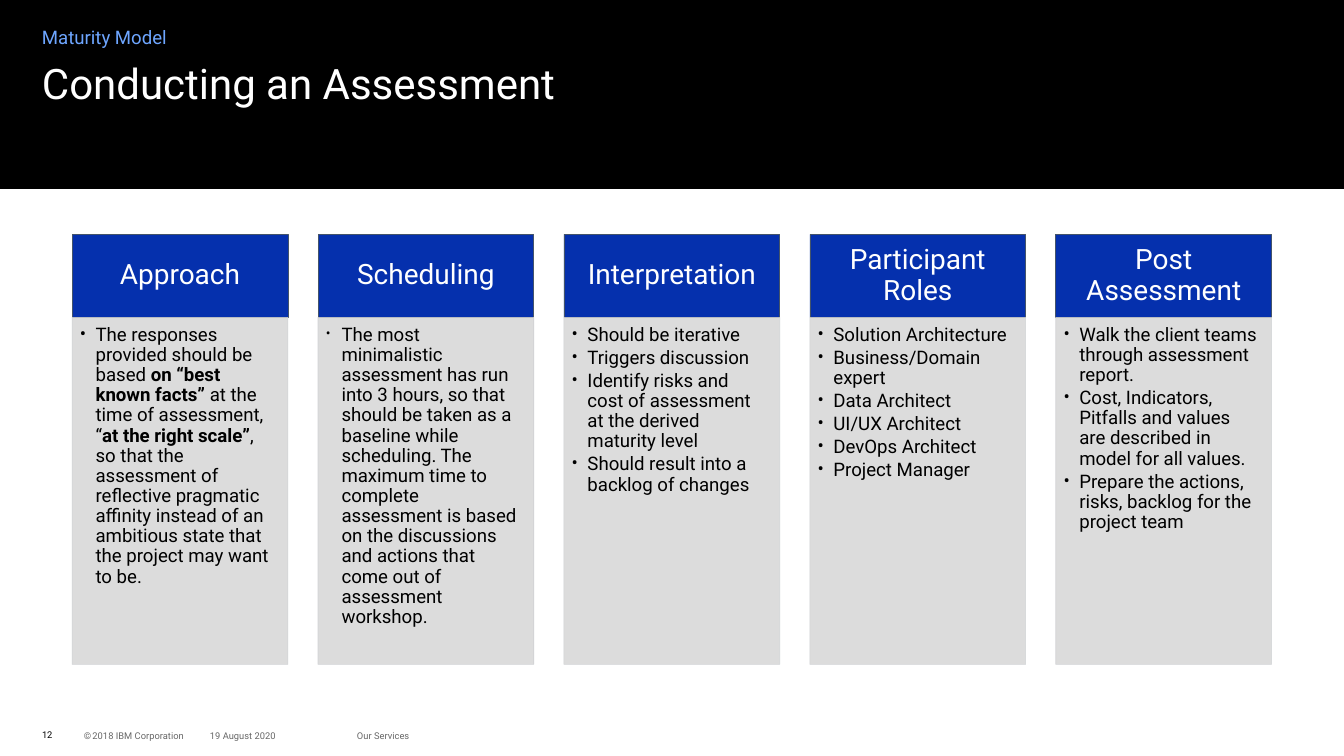
from dataclasses import dataclass
from typing import NamedTuple

from lxml.etree import SubElement
from pptx import Presentation
from pptx.dml.color import RGBColor
from pptx.enum.shapes import MSO_SHAPE
from pptx.enum.text import MSO_ANCHOR, PP_ALIGN
from pptx.oxml.ns import qn
from pptx.util import Pt

BLACK = RGBColor(0x00, 0x00, 0x00)
WHITE = RGBColor(0xFF, 0xFF, 0xFF)
SKY = RGBColor(0x6E, 0xA6, 0xFF)
BLUE = RGBColor(0x05, 0x30, 0xAD)
SLATE = RGBColor(0x44, 0x54, 0x6A)
GREY = RGBColor(0xD9, 0xD9, 0xD9)
SILVER = RGBColor(0xCF, 0xD1, 0xD4)
FONT = "Roboto"

COLUMN_LEFT, COLUMN_PITCH, COLUMN_WIDTH = 61.8, 210.8, 185
HEADER_TOP, HEADER_HEIGHT, BODY_HEIGHT = 200.9, 71.2, 297.4
BULLET_INDENT = 13.5


class Area(NamedTuple):
    left: float
    top: float
    width: float
    height: float


class Span(NamedTuple):
    text: str
    size: float = 16
    bold: bool = False


@dataclass
class Label:
    area: Area
    spans: list[Span]
    colour: RGBColor = BLACK
    opacity: int = 100
    anchor: MSO_ANCHOR = MSO_ANCHOR.MIDDLE
    spacing: float = 1.0


@dataclass
class Column:
    heading: str
    points: list[list[Span]]
    bullet_size: int = 100


LABELS = [
    Label(Area(72, 622, 180, 17),
          [Span("©", 8), Span(" ", 4), Span("2018 IBM Corporation", 8)], opacity=60),
    Label(Area(178, 622, 108, 17), [Span(" 19 August 2020", 8)], opacity=60),
    Label(Area(306, 622, 180, 17), [Span("Our Services", 8)], opacity=60),
    Label(Area(36, 621.4, 26, 17), [Span("12", 8)]),
    Label(Area(36, 21, 518, 21.6), [Span("Maturity Model")], SKY,
          anchor=MSO_ANCHOR.TOP, spacing=1.05),
    Label(Area(36, 54, 1080, 90), [Span("Conducting an Assessment", 36)], WHITE,
          anchor=MSO_ANCHOR.TOP, spacing=0.9),
]

COLUMNS = [
    Column("Approach", [[
        Span("The responses provided should be based "),
        Span("on “best known facts” ", bold=True),
        Span("at the time of assessment, “"),
        Span("at the right scale”", bold=True),
        Span(", so that the assessment of reflective pragmatic affinity instead of "
             "an ambitious state that the project may want to be."),
    ]]),
    Column("Scheduling", [[
        Span("The most minimalistic assessment has run into 3 hours, so that should be "
             "taken as a baseline while scheduling. The maximum time to complete "
             "assessment is based on the discussions and actions that come out of "
             "assessment workshop."),
    ]], bullet_size=75),
    Column("Interpretation", [
        [Span("Should be iterative")],
        [Span("Triggers discussion")],
        [Span("Identify risks and cost of assessment at the derived maturity level")],
        [Span("Should result into a backlog of changes")],
    ]),
    Column("Participant Roles", [
        [Span("Solution Architecture")],
        [Span("Business/Domain expert")],
        [Span("Data Architect")],
        [Span("UI/UX Architect")],
        [Span("DevOps Architect")],
        [Span("Project Manager")],
    ]),
    Column("Post Assessment", [
        [Span("Walk the client teams through assessment report.")],
        [Span("Cost, Indicators, Pitfalls and values are described in model for all values.")],
        [Span("Prepare the actions, risks, backlog for the project team")],
    ]),
]


def set_opacity(element, percent: int) -> None:
    for colour in element.iter(qn("a:srgbClr")):
        SubElement(colour, qn("a:alpha"), val=str(percent * 1000))


def set_frame(frame, anchor: MSO_ANCHOR, margins: tuple) -> None:
    frame.word_wrap = True
    frame.vertical_anchor = anchor
    (frame.margin_left, frame.margin_top,
     frame.margin_right, frame.margin_bottom) = map(Pt, margins)


def add_spans(para, spans: list[Span], colour: RGBColor) -> None:
    for span in spans:
        run = para.add_run()
        run.text = span.text
        run.font.name = FONT
        run.font.size = Pt(span.size)
        run.font.bold = span.bold
        run.font.color.rgb = colour


def add_bullet(para, size: int) -> None:
    properties = para._p.get_or_add_pPr()
    properties.set("marL", str(Pt(BULLET_INDENT)))
    properties.set("indent", str(-Pt(BULLET_INDENT)))
    SubElement(properties, qn("a:buSzPct"), val=str(size * 1000))
    SubElement(properties, qn("a:buFont"), typeface=FONT)
    SubElement(properties, qn("a:buChar"), char="•")


def add_panel(page, area: Area, fill: RGBColor, outline: RGBColor | None = None):
    panel = page.shapes.add_shape(MSO_SHAPE.RECTANGLE, *map(Pt, area))
    panel.shadow.inherit = False
    panel.fill.solid()
    panel.fill.fore_color.rgb = fill
    if outline is None:
        panel.line.fill.background()
    else:
        panel.line.color.rgb = outline
        panel.line.width = Pt(0.5)
    return panel


def add_label(page, label: Label) -> None:
    box = page.shapes.add_textbox(*map(Pt, label.area))
    set_frame(box.text_frame, label.anchor, (0, 0, 0, 0))
    para = box.text_frame.paragraphs[0]
    para.line_spacing = label.spacing
    add_spans(para, label.spans, label.colour)
    if label.opacity < 100:
        set_opacity(box._element, label.opacity)


def add_column(page, column: Column, left: float) -> None:
    # Heading
    header = add_panel(page, Area(left, HEADER_TOP, COLUMN_WIDTH, HEADER_HEIGHT), BLUE, SLATE)
    set_frame(header.text_frame, MSO_ANCHOR.MIDDLE, (13.5, 8, 13.5, 8))
    para = header.text_frame.paragraphs[0]
    para.alignment = PP_ALIGN.CENTER
    para.line_spacing = 0.9
    add_spans(para, [Span(column.heading, 24)], WHITE)

    # Bulleted body
    body_top = HEADER_TOP + HEADER_HEIGHT
    body = add_panel(page, Area(left, body_top, COLUMN_WIDTH, BODY_HEIGHT), GREY, SILVER)
    set_opacity(body._element.spPr, 90)
    frame = body.text_frame
    set_frame(frame, MSO_ANCHOR.TOP, (6.7, 6.7, 9, 10))
    for index, spans in enumerate(column.points):
        para = frame.add_paragraph() if index else frame.paragraphs[0]
        para.alignment = PP_ALIGN.LEFT
        para.line_spacing = 0.9
        para.space_after = Pt(2.5)
        add_bullet(para, column.bullet_size)
        add_spans(para, spans, BLACK)


def main() -> None:
    deck = Presentation()
    deck.slide_width, deck.slide_height = Pt(1152), Pt(648)
    page = deck.slides.add_slide(deck.slide_layouts[6])

    # Title band, titles and footer
    add_panel(page, Area(0, 0, 1152, 162), BLACK)
    for label in LABELS:
        add_label(page, label)

    # Assessment columns
    for index, column in enumerate(COLUMNS):
        add_column(page, column, COLUMN_LEFT + index * COLUMN_PITCH)

    deck.save("out.pptx")


if __name__ == "__main__":
    main()
